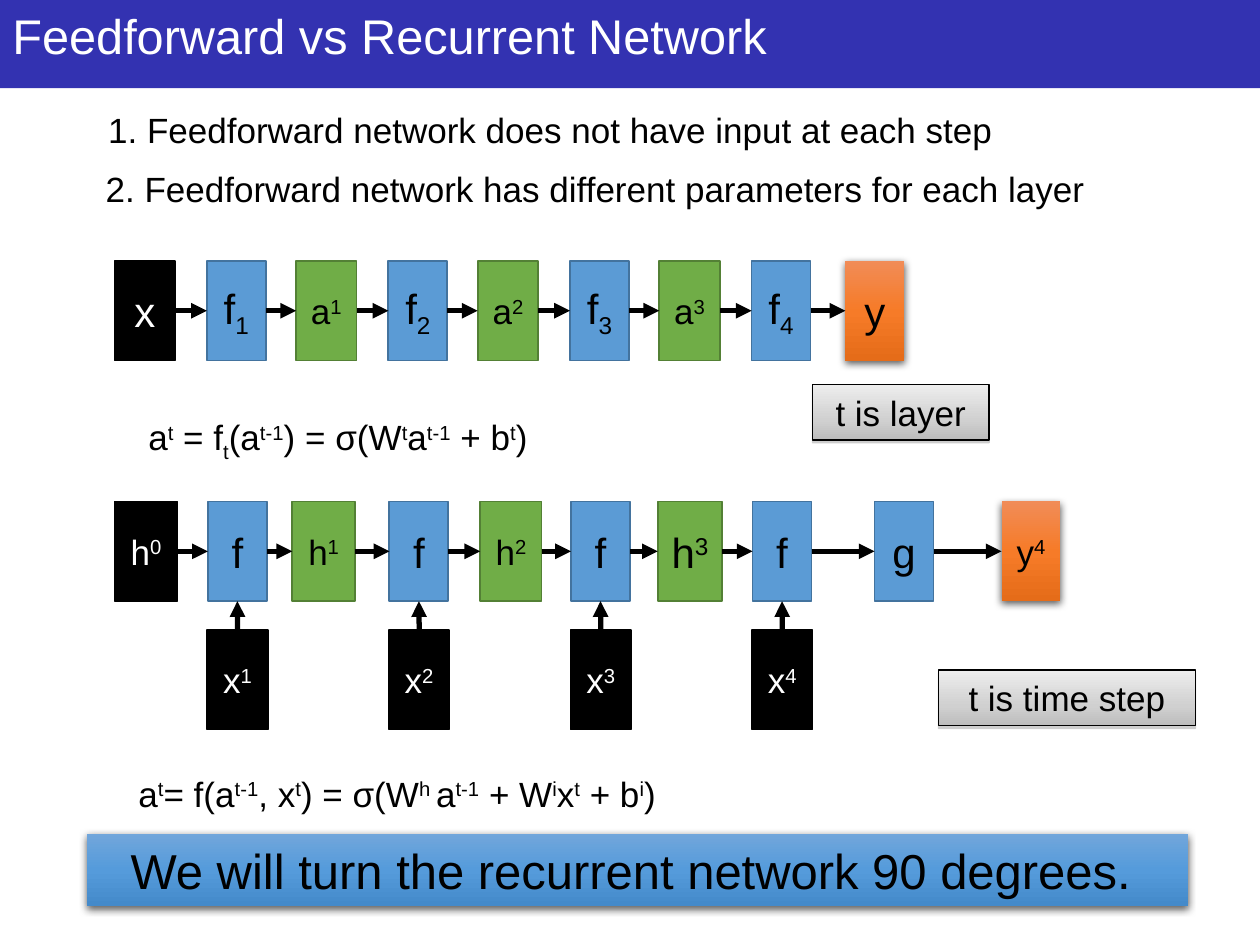
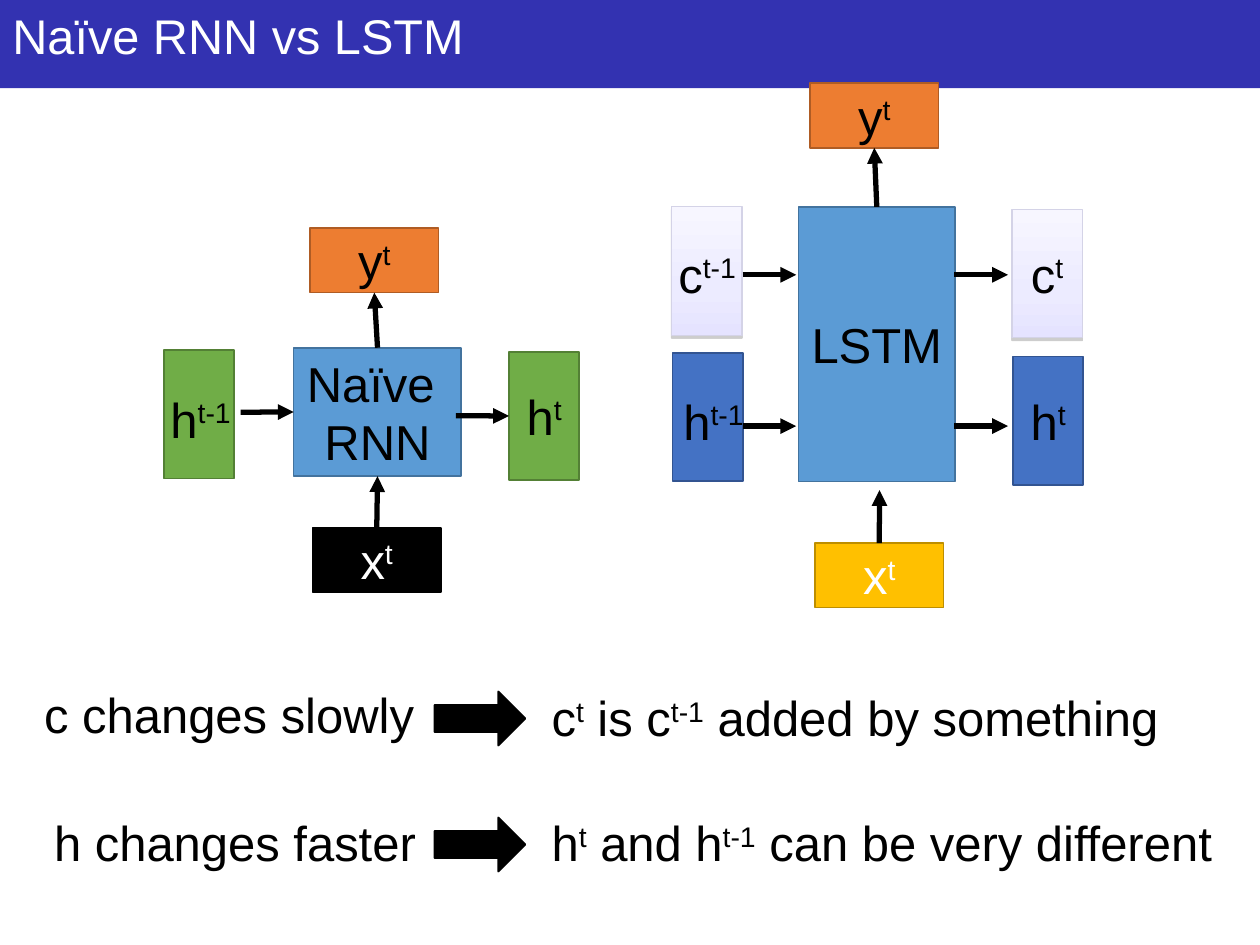
"""Build two slides comparing feedforward, recurrent and LSTM networks."""
from itertools import chain, pairwise

from lxml.etree import SubElement
from pptx import Presentation
from pptx.dml.color import RGBColor
from pptx.enum.shapes import MSO_CONNECTOR as Link, MSO_SHAPE as Preset
from pptx.enum.text import MSO_ANCHOR as Anchor, PP_ALIGN as Align
from pptx.oxml.ns import qn
from pptx.util import Cm, Pt

COLORS = {"band": "3332B1", "black": "000000", "white": "FFFFFF", "note shadow": "808080"}
GLOW = ("black", 63, 4.5, 1.5)
SOFT = ("note shadow", 38, 0, 1.6)
# Fill stops, outline, outline width, shadow and text colour of each kind of box.
STYLES = {
    "band": ([(0, "3332B1")], None, 0, None, "white"),
    "input": ([(0, "000000")], "000000", 1, None, "white"),
    "function": ([(0, "5B9BD5")], "43739E", 1, None, "black"),
    "hidden": ([(0, "70AD47")], "538035", 1, None, "black"),
    "output": ([(0, "ED7D31")], "AF5C24", 1, None, "black"),
    "lstm input": ([(0, "FFC000")], "BD8E00", 1, None, "white"),
    "lstm hidden": ([(0, "4472C4")], "325491", 1, None, "black"),
    "cell": ([(0, "F7F6FF"), (65, "ECEBFF"), (100, "E5E3FF")], "D4D3E7", 0.75, SOFT, "black"),
    "note": ([(0, "EDEDED"), (65, "D0D0D0"), (100, "BCBCBC")], "000000", 0.75, SOFT, "black"),
    "glow output": ([(0, "F18C57"), (50, "F67B28"), (100, "E56C19")], None, 0, GLOW, "black"),
    "banner": ([(0, "71A6DB"), (50, "559BDB"), (100, "448ACA")], None, 0, GLOW, "black"),
}
TOP, LEFT, BOTTOM, RIGHT = range(4)
BASELINES = {"^": "30000", "_": "-25000"}
LAYER_STEP = 3.66
UNIT_HEIGHT = 2.01
FUNCTION_WIDTH = 1.19


def write(frame, text, size, color="black", align=Align.LEFT):
    """Write lines of text in which ^..^ is raised and _.._ is lowered."""
    for number, line in enumerate(text.split("\n")):
        paragraph = frame.add_paragraph() if number else frame.paragraphs[0]
        paragraph.alignment = align
        paragraph.font.name = "Arial"
        paragraph.font.size = Pt(size)
        paragraph.font.color.rgb = RGBColor.from_string(COLORS[color])
        for mark in BASELINES:
            line = line.replace(mark, f"\t{mark}")
        shift = ""
        for piece in line.split("\t"):
            mark = piece[:1] if piece[:1] in BASELINES else ""
            shift = "" if mark == shift else mark
            if piece[len(mark):]:
                run = paragraph.add_run()
                run.text = piece[len(mark):]
                if shift:
                    run.font._element.set("baseline", BASELINES[shift])


def add_text(slide, text, left, top, width, height, size, color="black",
             align=Align.LEFT, wrap=True):
    """Add a text box."""
    frame = slide.shapes.add_textbox(Cm(left), Cm(top), Cm(width), Cm(height)).text_frame
    frame.word_wrap = wrap
    write(frame, text, size, color, align)


def paint(shape, stops):
    """Fill a shape with one colour or a downward gradient."""
    if len(stops) == 1:
        shape.fill.solid()
        shape.fill.fore_color.rgb = RGBColor.from_string(stops[0][1])
        return
    shape.fill.gradient()
    shape.fill.gradient_angle = 270
    stop_list = shape.element.spPr.find(".//" + qn("a:gsLst"))
    for stop in list(stop_list):
        stop_list.remove(stop)
    for position, color in stops:
        stop = SubElement(stop_list, qn("a:gs"), pos=str(position * 1000))
        SubElement(stop, qn("a:srgbClr"), val=color)


def cast_shadow(shape, color, opacity, blur, distance):
    """Give a shape a shadow that falls straight down."""
    effects = shape.element.spPr.find(qn("a:effectLst"))
    shadow = SubElement(effects, qn("a:outerShdw"), blurRad=str(Pt(blur)),
                        dist=str(Pt(distance)), dir="5400000", rotWithShape="0")
    tint = SubElement(shadow, qn("a:srgbClr"), val=COLORS[color])
    SubElement(tint, qn("a:alpha"), val=str(opacity * 1000))


def add_box(slide, style, text, left, top, width, height, size=28, preset=Preset.RECTANGLE):
    """Add a shape in one of the shared styles, with centred text."""
    stops, outline, weight, shadow, color = STYLES[style]
    box = slide.shapes.add_shape(preset, Cm(left), Cm(top), Cm(width), Cm(height))
    box.shadow.inherit = False
    paint(box, stops)
    if outline:
        box.line.color.rgb = RGBColor.from_string(outline)
        box.line.width = Pt(weight)
    else:
        box.line.fill.background()
    if shadow:
        cast_shadow(box, *shadow)
    if text:
        frame = box.text_frame
        frame.margin_left = frame.margin_right = 0
        frame.vertical_anchor = Anchor.MIDDLE
        write(frame, text, size, color, Align.CENTER)
    return box


def add_arrow(slide, start, finish):
    """Draw an arrow between two places, each (box, side) or (x, y)."""
    arrow = slide.shapes.add_connector(Link.STRAIGHT, 0, 0, 0, 0)
    if hasattr(start[0], "shape_id"):
        arrow.begin_connect(*start)
    else:
        arrow.begin_x, arrow.begin_y = map(Cm, start)
    if hasattr(finish[0], "shape_id"):
        arrow.end_connect(*finish)
    else:
        arrow.end_x, arrow.end_y = map(Cm, finish)
    arrow.line.color.rgb = RGBColor.from_string(COLORS["black"])
    arrow.line.width = Pt(3)
    properties = arrow.element.spPr
    SubElement(properties.find(qn("a:ln")), qn("a:tailEnd"), type="triangle")
    SubElement(properties, qn("a:effectLst"))


def add_chain(slide, top, units):
    """Draw a row of units, each joined to the next by an arrow."""
    boxes = [add_box(slide, style, text, left, top, width, UNIT_HEIGHT, size)
             for style, text, left, width, size in units]
    for source, target in pairwise(boxes):
        add_arrow(slide, (source, RIGHT), (target, LEFT))
    return boxes


def start_slide(deck, title):
    """Add a blank slide with the title band."""
    slide = deck.slides.add_slide(deck.slide_layouts[6])
    add_box(slide, "band", "", 0, 0, 25.4, 1.78)
    add_text(slide, title, 0, 0, 25.4, 1.45, 27.8, "white")
    return slide


def build_feedforward_vs_recurrent(deck):
    """Compare a feedforward chain with a recurrent one."""
    slide = start_slide(deck, "Feedforward vs Recurrent Network")
    add_text(slide, "1. Feedforward network does not have input at each step",
             1.93, 2.06, 22.43, 1.12, 20)
    add_text(slide, "2. Feedforward network has different parameters for each layer",
             1.88, 3.25, 22.73, 1.12, 20)

    layers = [("function", f"f_{n + 1}_", 4.17 + n * LAYER_STEP, FUNCTION_WIDTH, 24)
              for n in range(4)]
    activations = [("hidden", f"a^{n + 1}^", 5.97 + n * LAYER_STEP, 1.22, 20)
                   for n in range(3)]
    add_chain(slide, 5.26, [
        ("input", "x", 2.31, 1.22, 24),
        *chain.from_iterable(zip(layers, activations)), layers[-1],
        ("glow output", "y", 17.04, FUNCTION_WIDTH, 24)])

    steps = [("function", "f", 4.19 + n * LAYER_STEP, FUNCTION_WIDTH, 24) for n in range(4)]
    states = [("hidden", "h^1^", 5.89, 1.27, 20), ("hidden", "h^2^", 9.68, 1.24, 20),
              ("hidden", "h^3^", 13.26, 1.3, 24)]
    recurrent = add_chain(slide, 10.11, [
        ("input", "h^0^", 2.31, 1.27, 20),
        *chain.from_iterable(zip(steps, states)), steps[-1],
        ("function", "g", 17.63, FUNCTION_WIDTH, 24),
        ("glow output", "y^4^", 20.19, FUNCTION_WIDTH, 20)])
    for n, step in enumerate(recurrent[1:8:2]):
        step_input = add_box(slide, "input", f"x^{n + 1}^", 4.18 + n * LAYER_STEP, 12.7,
                             1.22, UNIT_HEIGHT, 20)
        add_arrow(slide, (step_input, TOP), (step, BOTTOM))

    add_text(slide, "a^t^ = f_t_(a^t-1^) = σ(W^t^a^t-1^ + b^t^)",
             2.74, 8.26, 8.41, 1.12, 20, wrap=False)
    add_text(slide, "a^t^= f(a^t-1^, x^t^) = σ(W^h ^a^t-1^ + W^i^x^t^ + b^i^)",
             2.54, 15.44, 11.3, 1.12, 20, wrap=False)
    add_box(slide, "note", "t is layer", 16.38, 7.75, 3.56, 1.12, 20)
    add_box(slide, "note", "t is time step", 18.92, 13.51, 5.18, 1.12, 20)
    add_box(slide, "banner", "We will turn the recurrent network 90 degrees. ",
            1.75, 16.81, 22.2, 1.45)


def build_rnn_vs_lstm(deck):
    """Compare one step of a naïve RNN with one step of an LSTM."""
    slide = start_slide(deck, "Naïve RNN vs LSTM")
    state, port = (1.42, 2.59), (2.59, 1.3)

    add_box(slide, "hidden", "", 3.3, 7.06, *state)
    rnn = add_box(slide, "function", "Naïve \nRNN", 5.92, 7.01, 3.38, 2.59)
    rnn_state = add_box(slide, "hidden", "h^t^", 10.26, 7.09, *state)
    rnn_output = add_box(slide, "output", "y^t^", 6.25, 4.6, *port)
    rnn_input = add_box(slide, "input", "x^t^", 6.3, 10.64, *port)
    add_arrow(slide, (4.85, 8.31), (rnn, LEFT))
    add_arrow(slide, (9.19, 8.38), (rnn_state, LEFT))
    add_arrow(slide, (rnn, TOP), (rnn_output, BOTTOM))
    add_arrow(slide, (rnn_input, TOP), (rnn, BOTTOM))

    lstm = add_box(slide, "function", "LSTM", 16.1, 4.17, 3.15, 5.54)
    lstm_output = add_box(slide, "output", "y^t^", 16.33, 1.68, *port)
    lstm_input = add_box(slide, "lstm input", "x^t^", 16.43, 10.95, *port)
    add_box(slide, "cell", "", 13.54, 4.17, *state)
    add_box(slide, "lstm hidden", "", 13.56, 7.11, *state)
    add_box(slide, "cell", "c^t^", 20.4, 4.22, *state)
    add_box(slide, "lstm hidden", "h^t^", 20.42, 7.19, *state)
    add_arrow(slide, (lstm, TOP), (lstm_output, BOTTOM))
    add_arrow(slide, (lstm_input, TOP), (17.73, 9.88))
    for left in (14.97, 19.24):
        for level in (5.54, 8.59):
            add_arrow(slide, (left, level), (left + 1.08, level))

    for text, left, top in (("h^t-1^", 3.12, 7.72), ("h^t-1^", 13.46, 7.77),
                            ("c^t-1^", 13.33, 4.8)):
        add_text(slide, text, left, top, 1.85, 1.45, 28, align=Align.CENTER, wrap=False)

    add_text(slide, "c changes slowly", 0.64, 13.67, 8.26, 1.45, 28)
    add_text(slide, "h changes faster", 0.84, 16.26, 8.13, 1.45, 28)
    add_text(slide, "c^t^ is c^t-1^ added by something", 10.87, 13.74, 13.26, 1.45, 28)
    add_text(slide, "h^t^ and h^t-1^ can be very different", 10.87, 16.26, 14.53, 1.45, 28)
    for top in (13.94, 16.48):
        add_box(slide, "input", "", 8.76, top, 1.83, 1.09, preset=Preset.RIGHT_ARROW)


def main():
    """Build the deck and save it."""
    deck = Presentation()
    deck.slide_width, deck.slide_height = Cm(25.4), Cm(19.05)
    build_feedforward_vs_recurrent(deck)
    build_rnn_vs_lstm(deck)
    deck.save("out.pptx")


if __name__ == "__main__":
    main()
